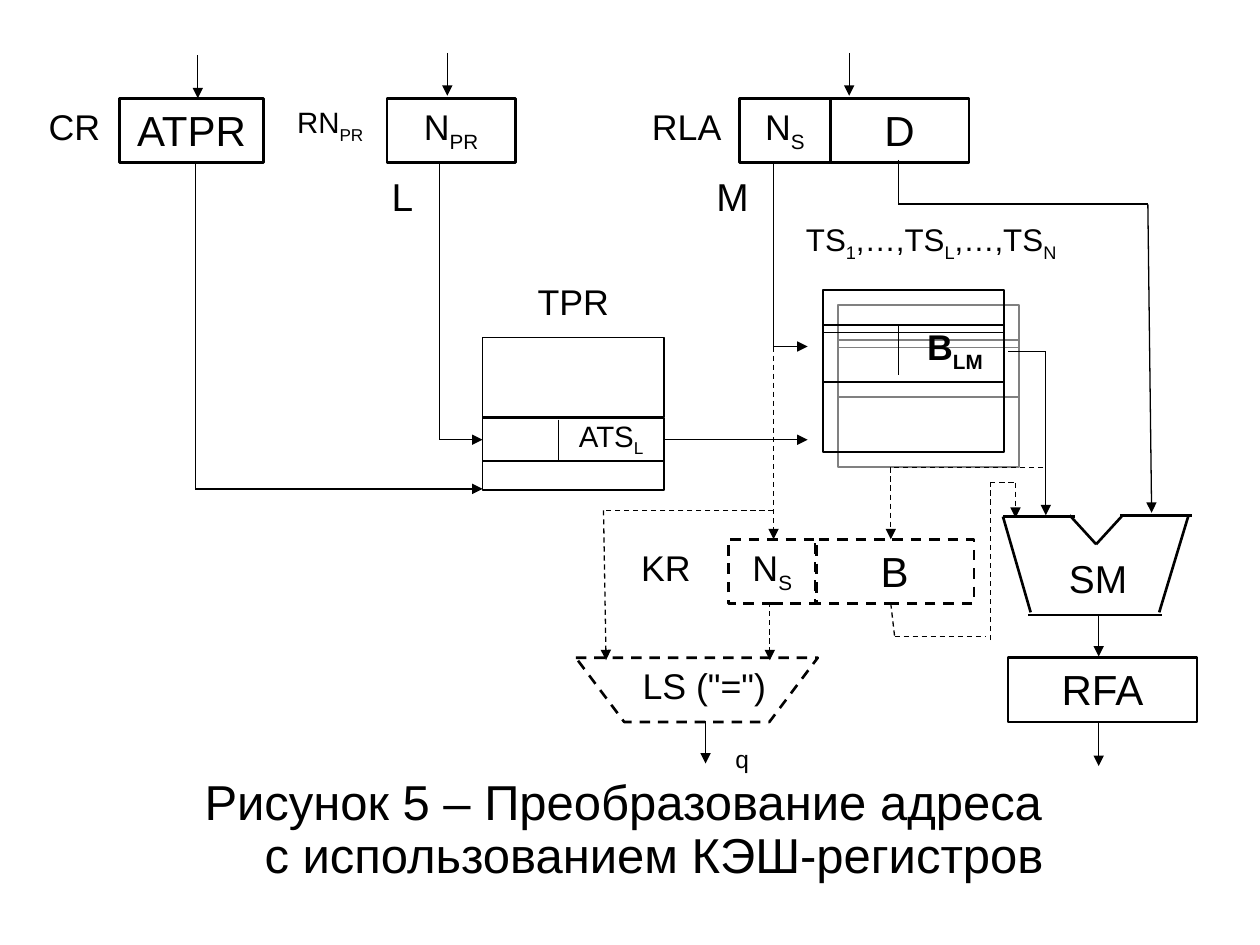
from dataclasses import dataclass
from itertools import pairwise

from lxml import etree
from pptx import Presentation
from pptx import util as u
from pptx.dml.color import RGBColor
from pptx.enum import dml, shapes, text
from pptx.oxml import ns

BLACK = RGBColor(0, 0, 0)
GREY = RGBColor(0x80, 0x80, 0x80)
RECT = shapes.MSO_SHAPE.RECTANGLE
FUNNEL = shapes.MSO_SHAPE.FLOWCHART_MANUAL_OPERATION
ROW = 0.51


@dataclass
class Box:
    x: float
    y: float
    w: float
    h: float = ROW
    words: str = ""
    size: float = 24
    line: float = 1.5
    dash: bool = False
    shade: bool = False
    kind: int = RECT


@dataclass
class Label:
    words: str
    x: float
    y: float
    w: float
    h: float = 0.46
    size: float = 20.4
    bold: bool = False


@dataclass
class Wire:
    points: list[tuple[float, float]]
    head: bool = True
    dash: bool = False
    line: float = 0.75


BOXES = [
    Box(0.95, 0.78, 1.14, words="ATPR"),
    Box(3.07, 0.78, 1.02, words="N_PR", size=20.4),
    Box(5.87, 0.78, 0.72, words="N_S", size=20.4),
    Box(6.59, 0.78, 1.1, words="D"),
    Box(8, 5.22, 1.5, words="RFA"),
    Box(5.78, 4.28, 0.7, words="N_S", size=20.4, dash=True),
    Box(6.47, 4.28, 1.26, words="B", dash=True),
    Box(4.57, 5.22, 1.92, dash=True, kind=FUNNEL),
]
TABLES = [
    (3.83, False, [(2.68, 0.63), (3.32, 0.34), (3.66, 0.23)]),
    (6.53, True, [(2.3, 0.34), (2.58, 0.45), (3.03, 0.56)]),
]
LABELS = [
    Label("CR", 0.17, 0.78, 0.84),
    Label("RN_PR", 2.11, 0.78, 1.02, size=16.8),
    Label("RLA", 4.97, 0.78, 0.96),
    Label("L", 2.61, 1.32, 1.17, 0.5, 22.2),
    Label("M", 5.23, 1.32, 1.17, 0.5, 22.2),
    Label("TPR", 4.07, 2.17, 0.96),
    Label("ATS_L", 4.31, 3.27, 1.08, size=16.8),
    Label("TS_1_,…,TS_L_,…,TS_N", 6.07, 1.7, 2.64, size=17.9),
    Label("B_LM", 7.04, 2.53, 1.08, 0.51, bold=True),
    Label("KR", 4.7, 4.28, 1.17),
    Label("SM", 8.25, 4.35, 0.93, 0.49, 22.2),
    Label('LS ("=")', 4.75, 5.22, 1.68),
    Label("q", 5.41, 5.86, 0.96, 0.56, 14),
]
WIRES = [
    Wire([(1.57, 0.44), (1.57, 0.78)]),
    Wire([(3.55, 0.42), (3.55, 0.76)]),
    Wire([(6.74, 0.42), (6.74, 0.76)]),
    Wire([(1.55, 1.28), (1.55, 3.88), (3.83, 3.88)]),
    Wire([(3.49, 1.28), (3.49, 3.49), (3.83, 3.49)]),
    Wire([(5.27, 3.49), (6.41, 3.49)]),
    Wire([(6.14, 1.28), (6.14, 2.75), (6.41, 2.75)]),
    Wire([(7.13, 1.27), (7.13, 1.62), (9.11, 1.62), (9.14, 4.07)]),
    Wire([(8, 2.79), (8.3, 2.79), (8.3, 4.09)]),
    Wire([(8.72, 4.88), (8.72, 5.21)]),
    Wire([(8.72, 5.74), (8.72, 6.08)]),
    Wire([(5.6, 5.72), (5.6, 6.06)]),
    Wire([(4.43, 3.33), (4.43, 3.67)], head=False),
    Wire([(7.13, 2.58), (7.13, 2.98)], head=False),
    Wire([(6.14, 2.75), (6.14, 4.28)], dash=True),
    Wire([(6.14, 4.05), (4.79, 4.05), (4.81, 5.24)], dash=True),
    Wire([(6.11, 4.78), (6.11, 5.24)], dash=True),
    Wire([(8.28, 3.71), (7.07, 3.71), (7.07, 4.28)], dash=True),
    Wire([(7.07, 4.79), (7.1, 5.05), (7.82, 5.05)], head=False, dash=True),
    Wire([(7.86, 5.08), (7.86, 3.83), (8.06, 3.83), (8.06, 4.11)], dash=True),
    Wire([(8.53, 4.1), (7.96, 4.1), (8.18, 4.86)], head=False, line=1.5),
    Wire([(8.49, 4.09), (8.7, 4.32), (8.91, 4.09)], head=False, line=1.5),
    Wire([(8.89, 4.09), (9.46, 4.09)], head=False, line=1.5),
    Wire([(9.43, 4.1), (9.2, 4.86)], head=False, line=1.5),
    Wire([(8.16, 4.88), (9.22, 4.88)], head=False, line=1.5),
]


def apply(item, form: dict) -> None:
    for key, value in form.items():
        setattr(item, key, value)


def add(root, tag: str, **form: str):
    node = etree.SubElement(root, ns.qn(tag))
    for key, value in form.items():
        node.set(key, value)
    return node


def ink(line, width: float, dash: bool) -> None:
    line.color.rgb = BLACK
    line.width = u.Pt(width)
    if dash:
        line.dash_style = dml.MSO_LINE.DASH


def write(para, words: str, size: float, bold: bool = False) -> None:
    para.alignment = text.PP_ALIGN.CENTER
    for i, part in enumerate(words.split("_")):
        run = para.add_run()
        run.text = part
        apply(run.font, {"name": "Arial", "size": u.Pt(size), "bold": bold})
        run.font.color.rgb = BLACK
        if i % 2:
            run._r.get_or_add_rPr().set("baseline", "-25000")


def cast(shape) -> None:
    glow = add(shape._element.spPr, "a:effectLst")
    drop = add(glow, "a:outerShdw", dist=str(u.Pt(12.1)), dir="2700000",
               algn="ctr", rotWithShape="0")
    add(drop, "a:srgbClr", val=str(GREY))


def draw_box(slide, box: Box) -> None:
    shape = slide.shapes.add_shape(
        box.kind, *map(u.Inches, (box.x, box.y, box.w, box.h)))
    shape.fill.background()
    ink(shape.line, box.line, box.dash)
    if box.shade:
        cast(shape)
    else:
        shape.shadow.inherit = False
    if box.words:
        shape.text_frame.vertical_anchor = text.MSO_ANCHOR.TOP
        write(shape.text_frame.paragraphs[0], box.words, box.size)


def draw_label(slide, tag: Label):
    frame = slide.shapes.add_textbox(
        *map(u.Inches, (tag.x, tag.y, tag.w, tag.h))).text_frame
    frame.word_wrap = True
    para = frame.paragraphs[0]
    write(para, tag.words, tag.size, tag.bold)
    return para


def draw_wire(slide, wire: Wire) -> None:
    for start, end in pairwise(wire.points):
        link = slide.shapes.add_connector(
            shapes.MSO_CONNECTOR.STRAIGHT, *map(u.Inches, start + end))
        ink(link.line, wire.line, wire.dash)
        if wire.head and end == wire.points[-1]:
            add(link.line._get_or_add_ln(), "a:tailEnd", type="triangle")
        add(link._element.spPr, "a:effectLst")


def draw_title(slide) -> None:
    para = draw_label(slide, Label("Рисунок 5 – Преобразование адреса ",
                                   0.5, 6.13, 9, 1.03, 28))
    para.add_line_break()
    write(para, "с использованием КЭШ-регистров", 28)
    apply(para, {"line_spacing": 0.9, "space_before": u.Pt(7)})
    form = para._p.get_or_add_pPr()
    form.set("marL", str(u.Inches(0.38)))
    form.set("indent", str(u.Inches(-0.38)))


def main() -> None:
    deck = Presentation()
    apply(deck, {"slide_width": u.Inches(10), "slide_height": u.Inches(7.5)})
    slide = deck.slides.add_slide(deck.slide_layouts[6])
    draw_title(slide)
    for x, shade, rows in TABLES:
        for y, h in rows:
            draw_box(slide, Box(x, y, 1.44, h, line=1, shade=shade))
    for draw, items in ((draw_box, BOXES), (draw_label, LABELS),
                        (draw_wire, WIRES)):
        for item in items:
            draw(slide, item)
    deck.save("out.pptx")


if __name__ == "__main__":
    main()
